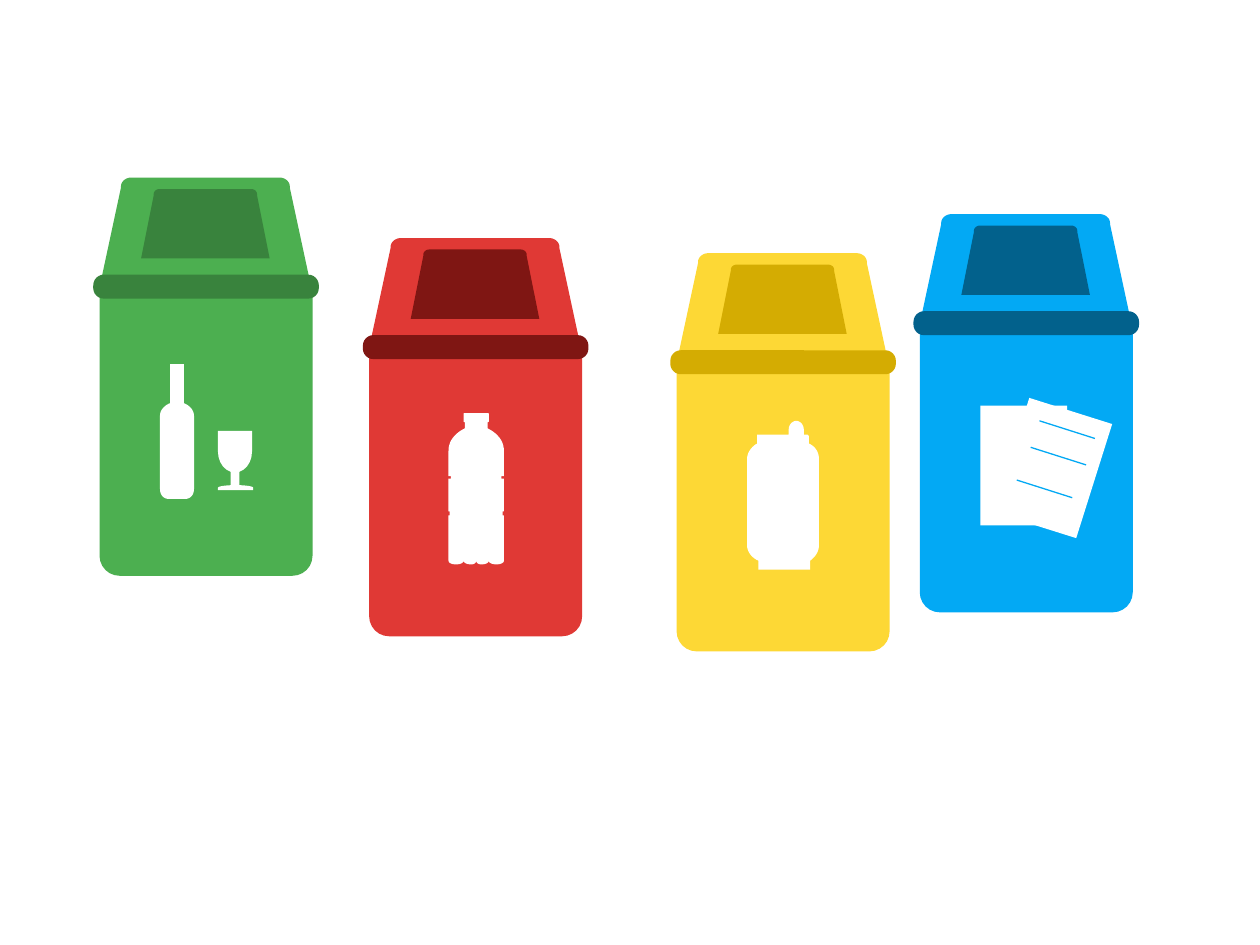
"""Build a slide of four recycling bins for glass, plastic, paper and cans."""
from dataclasses import dataclass

from lxml import etree
from pptx import Presentation
from pptx import util as u
from pptx.dml.color import RGBColor
from pptx.enum import shapes
from pptx.oxml.ns import qn

KIND = shapes.MSO_SHAPE


@dataclass(frozen=True)
class Theme:
    glass: tuple = ("4CAF50", "39833D")
    plastic: tuple = ("E03935", "7F1613")
    paper: tuple = ("03A9F4", "02618C")
    cans: tuple = ("FDD835", "D4AC02")
    icon: str = "FFFFFF"
    rule_width: float = 0.75


def trace(start, steps, axis=None, smoothness=10):
    """Turn lines (2 numbers) and Bezier curves (6) into points, mirrored at axis."""
    points = [start]
    for step in steps:
        if len(step) == 2:
            points.append(step)
            continue
        x0, y0 = points[-1]
        x1, y1, x2, y2, x3, y3 = step
        for i in range(1, smoothness + 1):
            t = i / smoothness
            a, b, c, d = (1 - t) ** 3, 3 * t * (1 - t) ** 2, 3 * t * t * (1 - t), t ** 3
            points.append((a * x0 + b * x1 + c * x2 + d * x3,
                           a * y0 + b * y1 + c * y2 + d * y3))
    if axis is not None:
        points += [(2 * axis - x, y) for x, y in reversed(points)]
    return points


class Painter:
    """Holds the theme, the slide and the group being drawn."""

    def __init__(self, slide, theme):
        self.slide, self.theme, self.group = slide, theme, None

    def paint(self, shape, color):
        shape.shadow.inherit = False
        shape.fill.solid()
        shape.fill.fore_color.rgb = RGBColor.from_string(color)
        shape.line.fill.background()

    def preset(self, kind, left, top, width, height, color, round_by=None, turn=0):
        shape = self.group.shapes.add_shape(kind, *map(u.Inches, (left, top, width, height)))
        if round_by is not None:
            shape.adjustments[0] = round_by
        shape.rotation = turn
        self.paint(shape, color)

    def outline(self, points, color):
        corners = [(u.Inches(x), u.Inches(y)) for x, y in points]
        builder = self.group.shapes.build_freeform(*corners[0], scale=1.0)
        builder.add_line_segments(corners[1:], close=True)
        self.paint(builder.convert_to_shape(), color)

    def rule(self, start, end, color):
        line = self.group.shapes.add_connector(
            shapes.MSO_CONNECTOR.STRAIGHT, *map(u.Inches, (*start, *end)))
        line.line.color.rgb = RGBColor.from_string(color)
        line.line.width = u.Pt(self.theme.rule_width)
        etree.SubElement(line._element.spPr, qn("a:effectLst"))

    def bin(self, left, top, colors):
        main, dark = colors
        self.group = self.slide.shapes.add_group_shape()
        axis = left + 0.84
        lid = trace((axis + 0.59, top), [
            (axis + 0.63, top, axis + 0.67, top + 0.03, axis + 0.67, top + 0.07),
            (axis + 0.67, top + 0.08), (axis + 0.84, top + 0.87)], axis)
        opening = trace((axis + 0.36, top + 0.09), [
            (axis + 0.39, top + 0.09, axis + 0.41, top + 0.11, axis + 0.41, top + 0.13),
            (axis + 0.41, top + 0.14), (axis + 0.51, top + 0.64)], axis)
        self.outline(lid, main)
        self.preset(KIND.ROUNDED_RECTANGLE, left, top + 0.75, 1.69, 2.41, main, 0.094)
        self.preset(KIND.ROUNDED_RECTANGLE, left - 0.05, top + 0.77, 1.79, 0.19, dark, 0.44)
        self.outline(opening, dark)

    def bottle_and_glass(self):
        white = self.theme.icon
        self.preset(KIND.FLOWCHART_DELAY, 1.7, 3.45, 0.33, 0.27, white, turn=90)
        self.preset(KIND.RECTANGLE, 1.83, 3.63, 0.07, 0.24, white)
        self.preset(KIND.FLOWCHART_DELAY, 1.85, 3.73, 0.04, 0.28, white, turn=270)
        self.outline(trace((1.46, 2.89), [
            (1.46, 3.2), (1.51, 3.22, 1.54, 3.26, 1.54, 3.3), (1.54, 3.88),
            (1.54, 3.93, 1.51, 3.96, 1.47, 3.96)], axis=1.405), white)

    def plastic_bottle(self):
        self.outline(trace((3.87, 3.28), [
            (3.88, 3.28, 3.88, 3.28, 3.88, 3.29), (3.88, 3.34),
            (3.88, 3.35, 3.88, 3.35, 3.87, 3.35), (3.87, 3.4),
            (3.95, 3.44, 4, 3.5, 4, 3.58), (4, 3.78), (3.98, 3.78), (3.98, 3.8),
            (4, 3.8), (4, 4.06), (3.99, 4.06), (3.99, 4.09), (4, 4.09), (4, 4.45),
            (4, 4.47, 3.97, 4.48, 3.94, 4.48), (3.91, 4.48, 3.88, 4.47, 3.88, 4.45),
            (3.88, 4.47, 3.85, 4.48, 3.82, 4.48), (3.8, 4.48, 3.78, 4.47, 3.78, 4.45),
        ], axis=3.78), self.theme.icon)

    def sheets(self):
        for left, top, turn in ((7.78, 3.22, 0), (8.01, 3.24, 17.5)):
            self.preset(KIND.RECTANGLE, left, top, 0.69, 0.95, self.theme.icon, turn=turn)
        for x, y in ((8.25, 3.34), (8.07, 3.81), (8.18, 3.55)):
            self.rule((x, y), (x + 0.44, y + 0.14), self.theme.paper[0])

    def can(self):
        self.outline(trace((6.32, 3.34), [
            (6.35, 3.34, 6.38, 3.37, 6.38, 3.41), (6.38, 3.45), (6.41, 3.45),
            (6.42, 3.46), (6.42, 3.52), (6.47, 3.54, 6.5, 3.59, 6.5, 3.64),
            (6.5, 4.33), (6.5, 4.38, 6.47, 4.42, 6.43, 4.45), (6.43, 4.52),
            (6.02, 4.52), (6.02, 4.45), (5.97, 4.43, 5.93, 4.38, 5.93, 4.33),
            (5.93, 3.64), (5.93, 3.59, 5.97, 3.54, 6.01, 3.52), (6.01, 3.45),
            (6.26, 3.45), (6.26, 3.41), (6.26, 3.37, 6.29, 3.34, 6.32, 3.34),
        ]), self.theme.icon)


def main():
    deck = Presentation()
    deck.slide_width, deck.slide_height = u.Inches(10), u.Inches(7.5)
    theme = Theme()
    painter = Painter(deck.slides.add_slide(deck.slide_layouts[6]), theme)
    for left, top, colors, icon in (
            (0.79, 1.41, theme.glass, painter.bottle_and_glass),
            (2.93, 1.89, theme.plastic, painter.plastic_bottle),
            (7.3, 1.7, theme.paper, painter.sheets),
            (5.37, 2.01, theme.cans, painter.can)):
        painter.bin(left, top, colors)
        icon()
    deck.save("out.pptx")


main()
